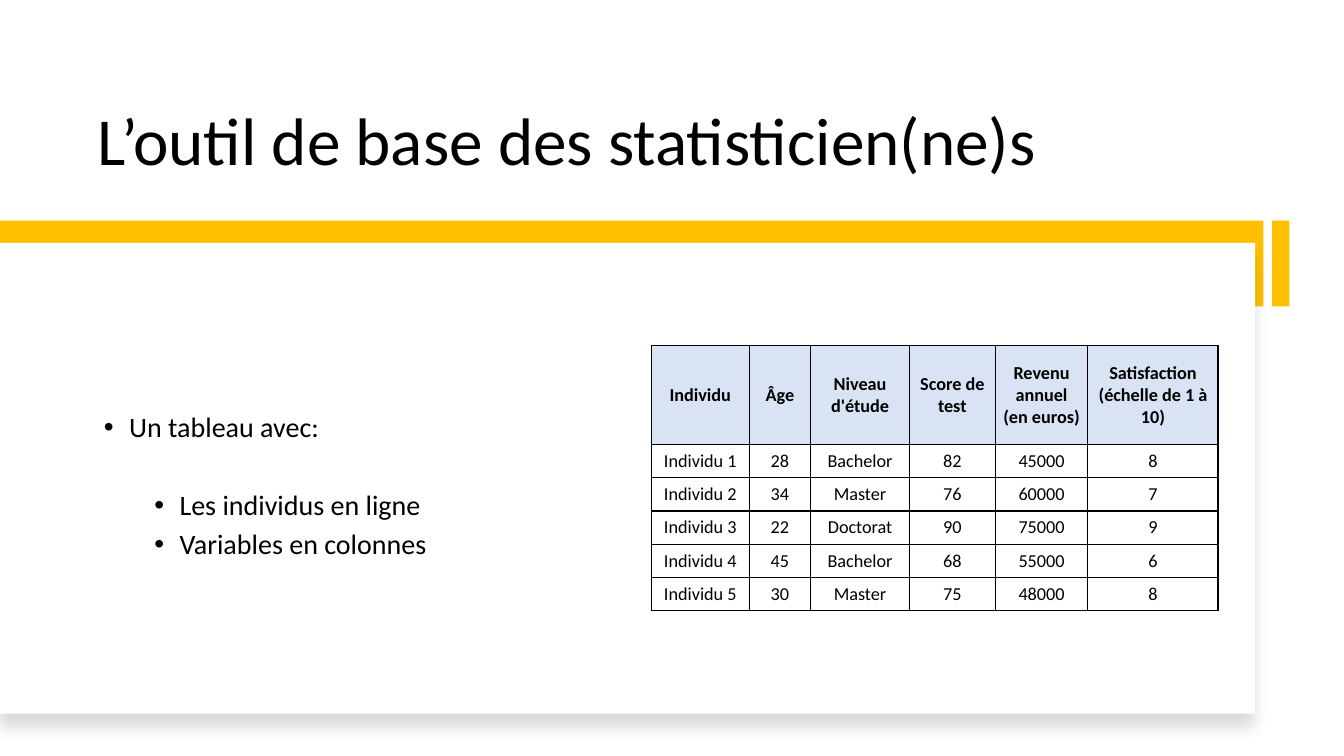
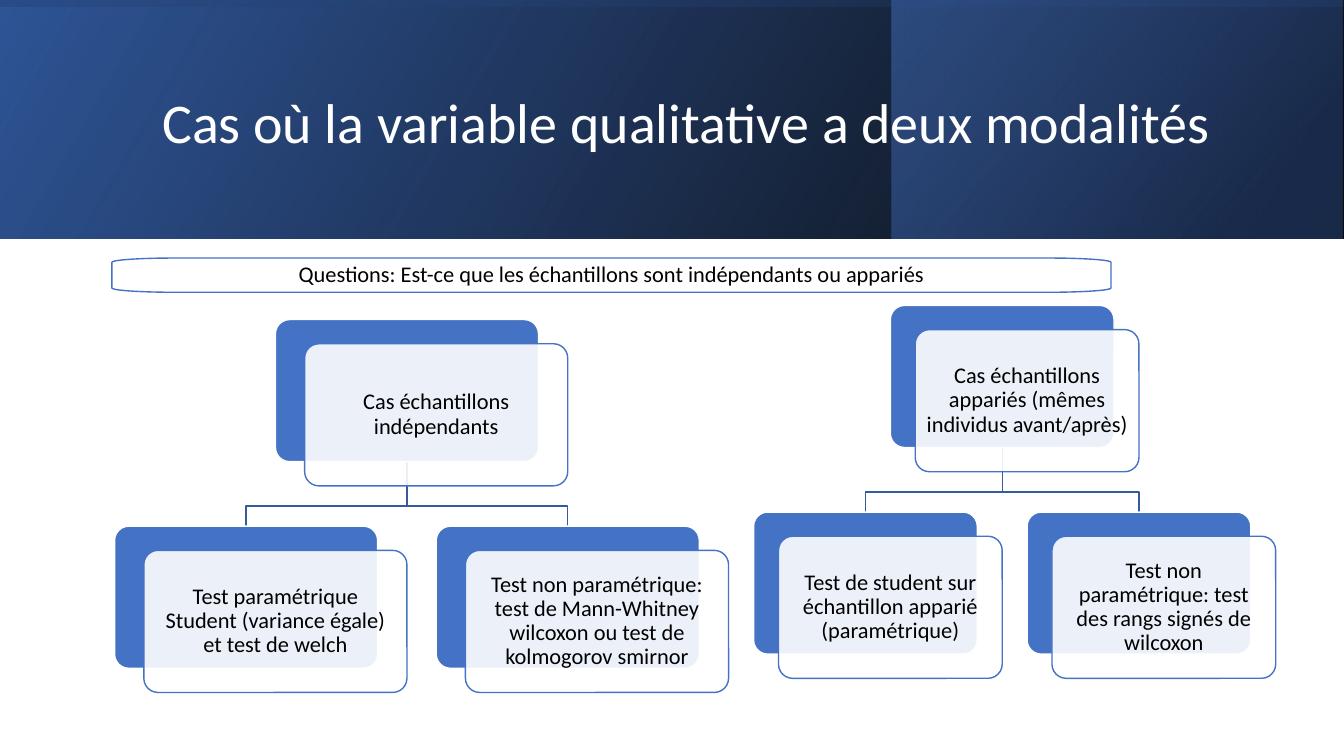
import math
from dataclasses import dataclass

import pptx
import pptx.dml.color
import pptx.enum.shapes
import pptx.enum.text
import pptx.oxml.ns
import pptx.oxml.xmlchemy
import pptx.util
from lxml import etree

qn = pptx.oxml.ns.qn
Pt = pptx.util.Pt
ALIGN = pptx.enum.text.PP_ALIGN
ANCHOR = pptx.enum.text.MSO_ANCHOR
PRESET = pptx.enum.shapes.MSO_SHAPE
SLIDE_WIDTH = pptx.util.Inches(13.33)
SLIDE_HEIGHT = pptx.util.Inches(7.5)


@dataclass(frozen=True)
class Theme:
    font: str = "Calibri"
    ink: str = "000000"
    paper: str = "FFFFFF"
    accent: str = "FFC000"
    header: str = "DAE3F3"
    blue: str = "4472C4"
    deep_blue: str = "2F5597"
    navy: str = "203864"
    branch: str = "365B9D"
    title: int = 48
    banner_title: int = 40
    body: int = 20
    card: int = 16
    cell: int = 13
    line: int = 1


THEME = Theme()

SURVEY = [
    ["Individu", "Âge", "Niveau d'étude", "Score de test",
     "Revenu annuel (en euros)", "Satisfaction (échelle de 1 à 10)"],
    ["Individu 1", "28", "Bachelor", "82", "45000", "8"],
    ["Individu 2", "34", "Master", "76", "60000", "7"],
    ["Individu 3", "22", "Doctorat", "90", "75000", "9"],
    ["Individu 4", "45", "Bachelor", "68", "55000", "6"],
    ["Individu 5", "30", "Master", "75", "48000", "8"],
]
SURVEY_COLUMNS = [7.28, 4.58, 7.35, 6.38, 6.9, 9.68]

CARD_HEIGHT = 18.8
CARD_DROP = 3.2
TREE_STEP = 27.33
BRANCH_BEND = 5.87


def across(percent):
    return round(SLIDE_WIDTH * percent / 100)


def down(percent):
    return round(SLIDE_HEIGHT * percent / 100)


def frame(left, top, width, height):
    return across(left), down(top), across(width), down(height)


def rgb(colour):
    return pptx.dml.color.RGBColor.from_string(colour)


def sub(parent, tag, **attributes):
    return etree.SubElement(parent, qn(tag), attributes)


def set_opacity(colour_element, percent):
    sub(colour_element, "a:alpha", val=str(percent * 1000))


def paint(shape, fill=None, line=None, opacity=100):
    shape.shadow.inherit = False
    if fill:
        shape.fill.solid()
        shape.fill.fore_color.rgb = rgb(fill)
        if opacity < 100:
            solid = shape.element.spPr.find(qn("a:solidFill"))
            set_opacity(solid[0], opacity)
    else:
        shape.fill.background()
    if line:
        shape.line.color.rgb = rgb(line)
        shape.line.width = Pt(THEME.line)
    else:
        shape.line.fill.background()
    return shape


def add_block(slide, box, fill, line=None, opacity=100, preset=PRESET.RECTANGLE):
    block = slide.shapes.add_shape(preset, *box)
    if preset == PRESET.ROUNDED_RECTANGLE:
        block.adjustments[0] = 0.1
    return paint(block, fill, line, opacity)


def add_gradient(slide, box, angle, stops, rotation=0):
    veil = add_block(slide, box, THEME.navy)
    veil.rotation = rotation
    veil.element.spPr.find(qn("a:xfrm")).set("flipH", "1")
    veil.fill.gradient()
    veil.fill.gradient_angle = angle
    for stop, (position, colour, _) in zip(veil.fill.gradient_stops, stops):
        stop.position = position / 100
        stop.color.rgb = rgb(colour)
    for colour, (_, _, opacity) in zip(veil.element.spPr.iter(qn("a:srgbClr")), stops):
        set_opacity(colour, opacity)


def add_outline(slide, points, fill=None, line=None, opacity=100, close=False):
    pen = slide.shapes.build_freeform(*points[0], scale=1.0)
    pen.add_line_segments(points[1:], close=close)
    return paint(pen.convert_to_shape(), fill, line, opacity)


def drop_shadow(shape, opacity, blur, distance):
    effects = shape.element.spPr.find(qn("a:effectLst"))
    shadow = sub(effects, "a:outerShdw", blurRad=str(Pt(blur)),
                 dist=str(Pt(distance)), dir="5400000", algn="t", rotWithShape="0")
    set_opacity(sub(shadow, "a:srgbClr", val=THEME.ink), opacity)


def style(paragraph, size, colour=THEME.ink, align=ALIGN.LEFT, bold=False, spacing=0.9):
    paragraph.alignment = align
    paragraph.line_spacing = spacing
    paragraph.font.name = THEME.font
    paragraph.font.size = Pt(size)
    paragraph.font.bold = bold
    paragraph.font.color.rgb = rgb(colour)


def place(placeholder, box, anchor):
    placeholder.left, placeholder.top, placeholder.width, placeholder.height = box
    text = placeholder.text_frame
    text.word_wrap = True
    text.auto_size = pptx.enum.text.MSO_AUTO_SIZE.NONE
    text.vertical_anchor = anchor
    placeholder.element.getparent().append(placeholder.element)
    return text


def set_title(slide, wording, box, size, colour, anchor):
    heading = place(slide.shapes.title, box, anchor)
    heading.text = wording
    style(heading.paragraphs[0], size, colour)


def set_list(placeholder, box, items):
    text = place(placeholder, box, ANCHOR.MIDDLE)
    for index, (wording, level, before) in enumerate(items):
        item = text.add_paragraph() if index else text.paragraphs[0]
        item.text = wording
        item.level = level
        item.space_before = Pt(before)
        item.space_after = Pt(6)
        item.line_spacing = 0.9
        properties = item._p.get_or_add_pPr()
        properties.set("marL", str(pptx.util.Inches(0.31 + 0.5 * level)))
        properties.set("indent", str(pptx.util.Inches(-0.25)))
        sub(properties, "a:buFont", typeface="Arial")
        sub(properties, "a:buChar", char="•")
        style(item, THEME.body)


def write_centred(shape, wording, inset):
    text = shape.text_frame
    text.word_wrap = True
    text.vertical_anchor = ANCHOR.MIDDLE
    text.margin_left = text.margin_right = pptx.util.Inches(inset)
    text.margin_top = text.margin_bottom = pptx.util.Inches(inset)
    text.text = wording
    style(text.paragraphs[0], THEME.card, align=ALIGN.CENTER)


def border(cell):
    properties = cell._tc.get_or_add_tcPr()
    for index, side in enumerate(("a:lnL", "a:lnR", "a:lnT", "a:lnB")):
        edge = etree.Element(qn(side), {"w": str(Pt(THEME.line))})
        sub(sub(edge, "a:solidFill"), "a:srgbClr", val=THEME.ink)
        properties.insert(index, edge)


def add_table(slide, left, top, rows, columns, header_height, row_height):
    heights = [header_height] + [row_height] * (len(rows) - 1)
    box = frame(left, top, sum(columns), sum(heights))
    table = slide.shapes.add_table(len(rows), len(columns), *box).table
    table.first_row = table.horz_banding = False
    for column, width in zip(table.columns, columns):
        column.width = across(width)
    for r, (values, height) in enumerate(zip(rows, heights)):
        table.rows[r].height = down(height)
        for c, value in enumerate(values):
            cell = table.cell(r, c)
            cell.text = value
            cell.vertical_anchor = ANCHOR.MIDDLE
            cell.margin_left = cell.margin_right = pptx.util.Inches(0.07)
            cell.margin_top = cell.margin_bottom = pptx.util.Inches(0.04)
            style(cell.text_frame.paragraphs[0], THEME.cell,
                  align=ALIGN.CENTER, bold=r == 0, spacing=1.0)
            if r == 0:
                cell.fill.solid()
                cell.fill.fore_color.rgb = rgb(THEME.header)
            else:
                cell.fill.background()
            border(cell)


def add_question(slide, wording, box):
    left, top, width, height = box
    reach_x, reach_y = width / 16, height / 8
    corners = [(left + width - reach_x, top + reach_y, -90),
               (left + width - reach_x, top + height - reach_y, 0),
               (left + reach_x, top + height - reach_y, 90),
               (left + reach_x, top + reach_y, 180)]
    points = []
    for x, y, start in corners:
        for turn in range(0, 91, 10):
            angle = math.radians(start + turn)
            points.append((round(x + reach_x * math.cos(angle)),
                           round(y + reach_y * math.sin(angle))))
    banner = add_outline(slide, points, THEME.paper, THEME.blue, 90, close=True)
    write_centred(banner, wording, 0.11)


def add_card(slide, centre, top, width, wording):
    left = centre - width / 2
    add_block(slide, frame(left, top, width, CARD_HEIGHT), THEME.blue,
              THEME.paper, preset=PRESET.ROUNDED_RECTANGLE)
    front = add_block(slide, frame(left + width / 9, top + CARD_DROP, width, CARD_HEIGHT),
                      THEME.paper, THEME.blue, 90, PRESET.ROUNDED_RECTANGLE)
    write_centred(front, wording, 0.07)


def add_tree(slide, centre, top, width, root, leaves):
    spread = width * 11 / 9
    centres = [centre + spread * (i - (len(leaves) - 1) / 2) for i in range(len(leaves))]
    start = top + CARD_HEIGHT
    for leaf_centre in centres:
        bends = [(centre, start), (centre, start + BRANCH_BEND),
                 (leaf_centre, start + BRANCH_BEND), (leaf_centre, top + TREE_STEP)]
        add_outline(slide, [(across(x), down(y)) for x, y in bends], line=THEME.branch)
    add_card(slide, centre, top, width, root)
    for leaf_centre, wording in zip(centres, leaves):
        add_card(slide, leaf_centre, top + TREE_STEP, width, wording)


def build_table_slide(deck):
    slide = deck.slides.add_slide(deck.slide_layouts[1])
    band_top, band_height = 29.2, 11.33
    add_block(slide, frame(0, band_top, 94, band_height), THEME.accent)
    panel = add_block(slide, frame(0, 32.13, 93.4, 62.27), THEME.paper)
    drop_shadow(panel, 15, 11, 10)
    add_block(slide, frame(94.65, band_top, 1.28, band_height), THEME.accent)
    set_title(slide, "L’outil de base des statisticien(ne)s",
              frame(6.53, 5.6, 82.6, 18.93), THEME.title, THEME.ink, ANCHOR.BOTTOM)
    set_list(slide.placeholders[1], frame(6.53, 37.87, 37.2, 53.07), [
        ("Un tableau avec:", 0, 0),
        ("Les individus en ligne", 1, 28),
        ("Variables en colonnes", 1, 0),
    ])
    add_table(slide, 48.46, 45.73, SURVEY, SURVEY_COLUMNS, 13.07, 4.4)


def build_tests_slide(deck):
    slide = deck.slides.add_slide(deck.slide_layouts[5])
    banner = frame(0, 0, 100, 31.6)
    _, _, length, depth = banner
    offset = (length - depth) // 2
    add_gradient(slide, banner, 30, [(0, THEME.ink, 96), (100, THEME.deep_blue, 100)])
    add_gradient(slide, frame(66.32, 0, 33.6, 31.6), 40,
                 [(19, THEME.navy, 68), (100, THEME.blue, 48)])
    add_gradient(slide, (offset, -offset, depth, length), 10,
                 [(23, THEME.deep_blue, 16), (99, THEME.ink, 45)], rotation=270)
    set_title(slide, "Cas où la variable qualitative a deux modalités",
              frame(11.33, 5.07, 79.75, 22.93), THEME.banner_title, THEME.paper, ANCHOR.MIDDLE)
    add_question(slide, "Questions: Est-ce que les échantillons sont indépendants ou appariés",
                 frame(8.33, 34.13, 74.34, 4.53))
    add_tree(slide, 30.28, 42.27, 19.58, "Cas échantillons indépendants", [
        "Test paramétrique Student (variance égale) et test de welch",
        "Test non paramétrique: test de Mann-Whitney wilcoxon ou test de kolmogorov smirnor",
    ])
    add_tree(slide, 74.57, 40.4, 16.65,
             "Cas échantillons appariés (mêmes individus avant/après)", [
                 "Test de student sur échantillon apparié (paramétrique)",
                 "Test non paramétrique: test des rangs signés de wilcoxon",
             ])


def main():
    deck = pptx.Presentation()
    deck.slide_width, deck.slide_height = SLIDE_WIDTH, SLIDE_HEIGHT
    build_table_slide(deck)
    build_tests_slide(deck)
    deck.save("out.pptx")


if __name__ == "__main__":
    main()
